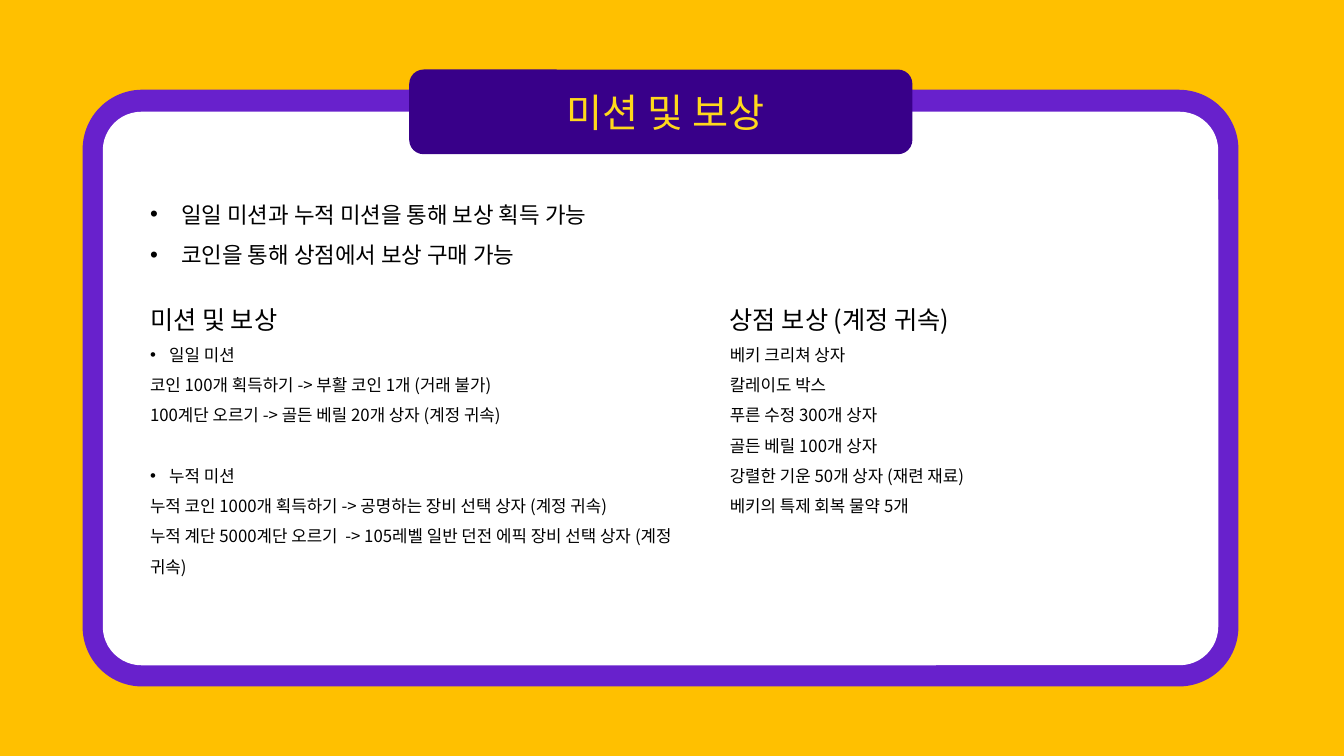
from lxml.etree import SubElement as Sub
from pptx import Presentation
from pptx.dml.color import RGBColor
from pptx.enum.shapes import MSO_SHAPE as Shape
from pptx.enum.text import MSO_ANCHOR as Anchor, MSO_AUTO_SIZE as Auto, PP_ALIGN as Align
from pptx.oxml.ns import qn
from pptx.util import Inches, Pt

COLS, ROWS = 160, 90
FONT = "Noto Sans CJK KR"
AMBER, VIOLET, INDIGO = "FFC000", "6821CC", "380089"
YELLOW, WHITE, BLACK = "FFD91C", "FFFFFF", "000000"


def paint(fmt, color):
    fmt.solid()
    fmt.fore_color.rgb = RGBColor.from_string(color)


def write(p, text, size=12, color=BLACK, spacing=1.5, before=0, hang=0):
    if hang:
        pPr = p._p.get_or_add_pPr()
        pPr.set("marL", str(Inches(hang)))
        pPr.set("indent", str(-Inches(hang)))
        Sub(pPr, qn("a:buFont"), typeface="Arial")
        Sub(pPr, qn("a:buChar"), char="•")
    p.alignment = Align.LEFT
    p.line_spacing = spacing
    p.space_before = Pt(before)
    r = p.add_run()
    r.text = text
    r.font.size, r.font.name, r.font.bold = Pt(size), FONT, False
    paint(r.font.fill, color)
    Sub(r._r.get_or_add_rPr(), qn("a:ea"), typeface=FONT)


class Deck:
    """Draws styled elements on a slide laid out in grid columns and rows."""

    def __init__(self):
        self.prs = Presentation()
        self.prs.slide_width, self.prs.slide_height = Inches(13.33), Inches(7.5)
        self.s = self.prs.slides.add_slide(self.prs.slide_layouts[5])

    def box(self, x, y, w, h):
        col, row = self.prs.slide_width / COLS, self.prs.slide_height / ROWS
        return round(x * col), round(y * row), round(w * col), round(h * row)

    def background(self, color):
        paint(self.s.background.fill, color)

    def card(self, grid, color, radius):
        sp = self.s.shapes.add_shape(Shape.ROUNDED_RECTANGLE, *self.box(*grid))
        sp.adjustments[0] = radius
        sp.shadow.inherit = False
        paint(sp.fill, color)
        sp.line.fill.background()

    def title(self, grid, text):
        sp = self.s.shapes.title
        sp.left, sp.top, sp.width, sp.height = self.box(*grid)
        tf = sp.text_frame
        tf.auto_size, tf.vertical_anchor, tf.word_wrap = Auto.NONE, Anchor.TOP, True
        write(tf.paragraphs[0], text, size=28, color=YELLOW, spacing=1.0)
        self.s.shapes._spTree.append(sp._element)

    def text(self, grid, lines):
        tf = self.s.shapes.add_textbox(*self.box(*grid)).text_frame
        tf.word_wrap = True
        for i, (text, style) in enumerate(lines):
            write(tf.add_paragraph() if i else tf.paragraphs[0], text, **style)


def main():
    head, item, point = dict(size=18), dict(hang=0.19), dict(size=16, hang=0.31)
    deck = Deck()
    deck.background(AMBER)
    deck.card((9.84, 10.68, 137.6, 71.04), VIOLET, 0.1)
    deck.card((12.24, 13.3, 132.8, 65.9), WHITE, 0.07)
    deck.card((48.72, 8.28, 59.9, 10.08), INDIGO, 0.17)
    deck.title((66.24, 9.96, 27.4, 6.84), "미션 및 보상")
    deck.text((16.68, 21.72, 56.2, 10.56), [
        ("일일 미션과 누적 미션을 통해 보상 획득 가능", point),
        ("코인을 통해 상점에서 보상 구매 가능", point),
    ])
    deck.text((16.68, 33.84, 68.2, 31.8), [
        ("미션 및 보상", head),
        ("일일 미션", item),
        ("코인 100개 획득하기 -> 부활 코인 1개 (거래 불가)", {}),
        ("100계단 오르기 -> 골든 베릴 20개 상자 (계정 귀속)", {}),
        ("누적 미션", dict(item, before=21.6)),
        ("누적 코인 1000개 획득하기 -> 공명하는 장비 선택 상자 (계정 귀속)", {}),
        ("누적 계단 5000계단 오르기  -> 105레벨 일반 던전 에픽 장비 선택 상자 (계정 귀속)", {}),
    ])
    deck.text((85.7, 33.84, 30.4, 28.08), [
        ("상점 보상 (계정 귀속)", head),
        ("베키 크리쳐 상자", {}),
        ("칼레이도 박스", {}),
        ("푸른 수정 300개 상자", {}),
        ("골든 베릴 100개 상자", {}),
        ("강렬한 기운 50개 상자 (재련 재료)", {}),
        ("베키의 특제 회복 물약 5개", {}),
    ])
    deck.prs.save("out.pptx")


if __name__ == "__main__":
    main()
